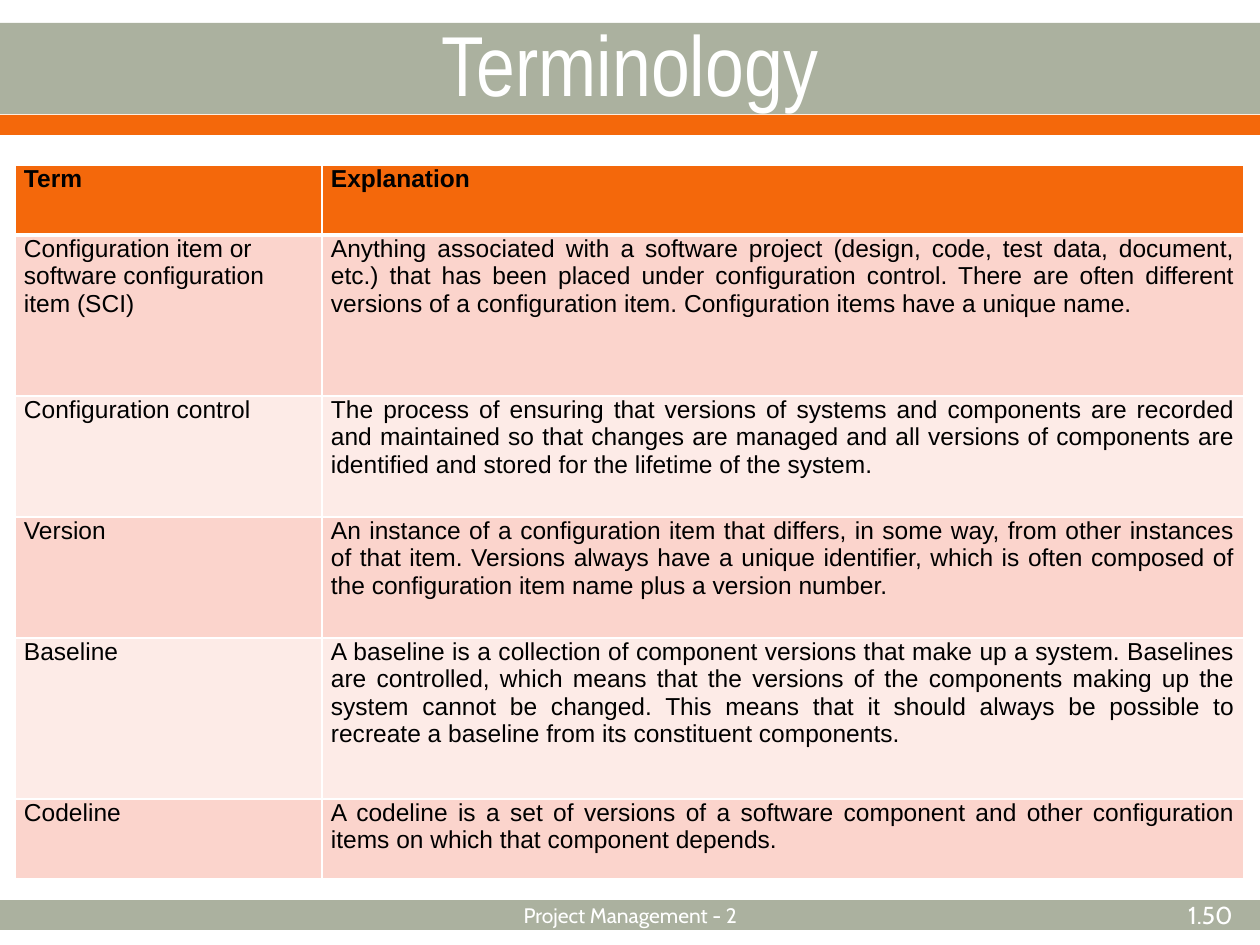
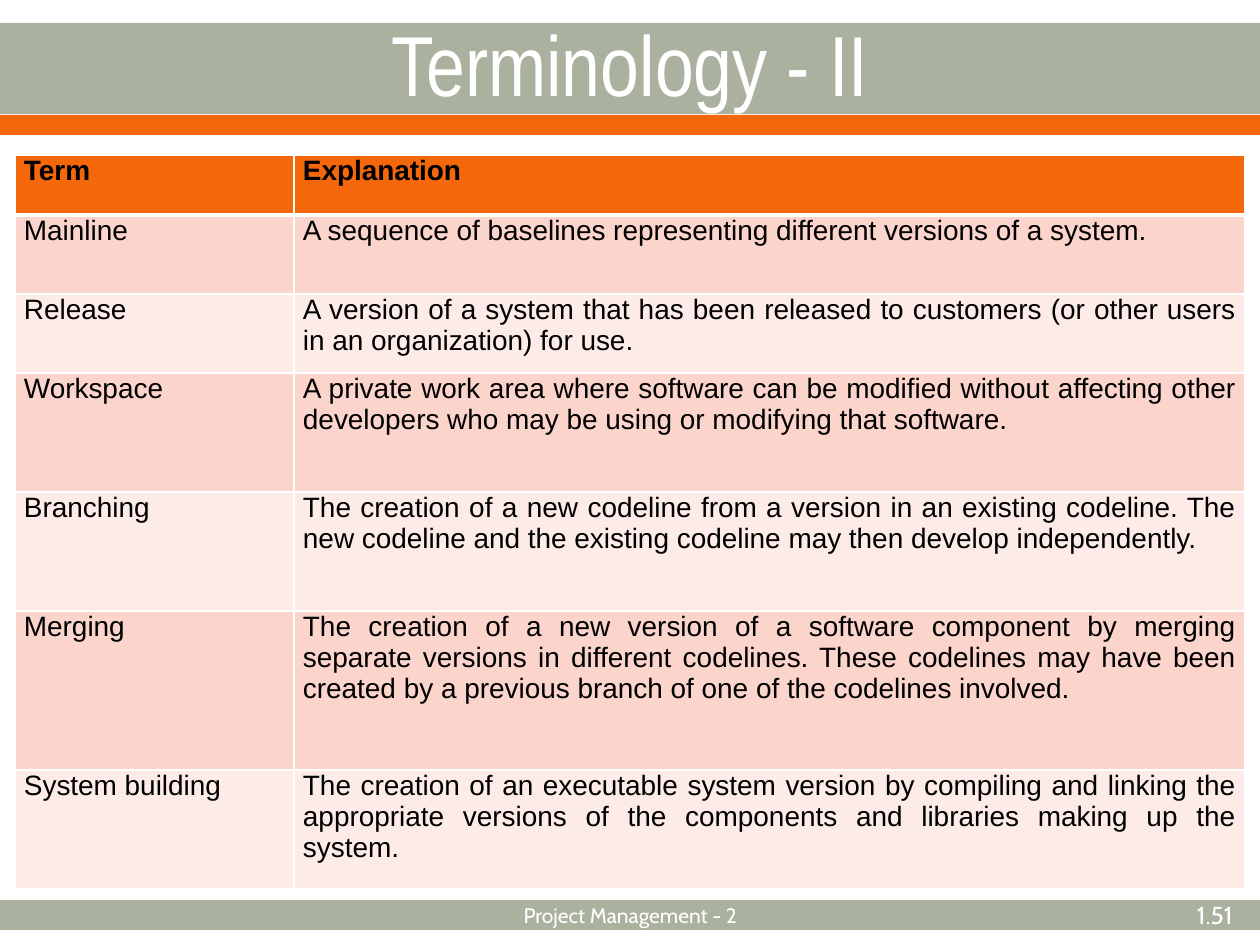
from lxml import etree
from pptx import Presentation
from pptx.dml.color import RGBColor
from pptx.enum.shapes import MSO_SHAPE
from pptx.enum.text import MSO_ANCHOR as ANCHOR, PP_ALIGN as ALIGN
from pptx.oxml.ns import qn
from pptx.util import Emu, Pt

COLORS = {
    "white": "FFFFFF",
    "black": "000000",
    "sage": "ABB19F",
    "orange": "F4680B",
    "rose": "FBD4CC",
    "blush": "FDEBE7",
}
PX_PER_INCH = 126
SLIDE_BOX = (0, 0, 1260, 945)
FOOTER_TEXT = "Project Management - 2"

# Rows are (height, term, explanation); the first row is the header
TERMS_ONE = [
    (70, "Term", "Explanation"),
    (161, "Configuration item or \vsoftware configuration item (SCI)",
     "Anything associated with a software project (design, code, test data, document, etc.) "
     "that has been placed under configuration control. There are often different versions "
     "of a configuration item. Configuration items have a unique name."),
    (121, "Configuration control",
     "The process of ensuring that versions of systems and components are recorded and "
     "maintained so that changes are managed and all versions of components are identified "
     "and stored for the lifetime of the system."),
    (121, "Version",
     "An instance of a configuration item that differs, in some way, from other instances of "
     "that item. Versions always have a unique identifier, which is often composed of the "
     "configuration item name plus a version number."),
    (161, "Baseline",
     "A baseline is a collection of component versions that make up a system. Baselines are "
     "controlled, which means that the versions of the components making up the system cannot "
     "be changed. This means that it should always be possible to recreate a baseline from "
     "its constituent components."),
    (80, "Codeline",
     "A codeline is a set of versions of a software component and other configuration items "
     "on which that component depends."),
]
TERMS_TWO = [
    (60, "Term", "Explanation"),
    (79, "Mainline",
     "A sequence of baselines representing different versions of a system."),
    (79, "Release",
     "A version of a system that has been released to customers (or other users in an "
     "organization) for use."),
    (119, "Workspace",
     "A private work area where software can be modified without affecting other developers "
     "who may be using or modifying that software."),
    (119, "Branching",
     "The creation of a new codeline from a version in an existing codeline. The new codeline "
     "and the existing codeline may then develop independently."),
    (159, "Merging",
     "The creation of a new version of a software component by merging separate versions in "
     "different codelines. These codelines may have been created by a previous branch of one "
     "of the codelines involved."),
    (119, "System building",
     "The creation of an executable system version by compiling and linking the appropriate "
     "versions of the components and libraries making up the system."),
]


def px(length):
    return Emu(round(length * 914400 / PX_PER_INCH))


def rgb(name):
    return RGBColor.from_string(COLORS[name])


def write(frame, text, size, font="Arial", color="black", bold=False,
          align=ALIGN.LEFT, after=0):
    """Fill a text frame with one formatted paragraph."""
    frame.word_wrap = True
    paragraph = frame.paragraphs[0]
    paragraph.text = text
    paragraph.alignment = align
    paragraph.space_after = Pt(after)
    for run in paragraph.runs:
        run.font.name = font
        run.font.size = Pt(size)
        run.font.bold = bold
        run.font.color.rgb = rgb(color)


def add_label(slide, box, text, size, **style):
    label = slide.shapes.add_textbox(*map(px, box))
    frame = label.text_frame
    frame.vertical_anchor = ANCHOR.MIDDLE
    frame.margin_top = frame.margin_bottom = 0
    write(frame, text, size, color="white", **style)


def add_band(slide, box, color):
    band = slide.shapes.add_shape(MSO_SHAPE.RECTANGLE, *map(px, box))
    band.shadow.inherit = False
    band.fill.solid()
    band.fill.fore_color.rgb = rgb(color)
    band.line.fill.background()


def add_header(slide, box, title):
    left, top, width, _ = box
    add_band(slide, (left, top + 14, width, 200), "white")
    add_band(slide, (left, top + 23, width, 91), "sage")
    add_band(slide, (left, top + 115, width, 20), "orange")
    add_label(slide, (left, top + 24, width, 78), title, 48.6,
              font="Arial Narrow", align=ALIGN.CENTER)


def add_footer(slide, box, number):
    left, top, width, height = box
    bottom = top + height
    add_band(slide, (left, bottom - 45, width, 30), "sage")
    add_label(slide, (left + 431, bottom - 55, 399, 50), FOOTER_TEXT, 12,
              font="Cabin", align=ALIGN.CENTER)
    add_label(slide, (left + width - 233, bottom - 55, 218, 50), number, 14,
              font="Cabin", align=ALIGN.RIGHT)


def set_borders(cell, **widths):
    """Draw white borders; widths in points are keyed by side letter."""
    properties = cell._tc.get_or_add_tcPr()
    for index, side in enumerate("LRTB"):
        line = etree.Element(qn(f"a:ln{side}"), w=str(Pt(widths.get(side, 1))))
        fill = etree.SubElement(line, qn("a:solidFill"))
        etree.SubElement(fill, qn("a:srgbClr"), val=COLORS["white"])
        properties.insert(index, line)


def add_terms(slide, box, rows, columns, size):
    left, top, width, height = box
    frame = slide.shapes.add_table(len(rows), len(columns),
                                   px(left), px(top), px(width), px(height))
    terms = frame.table
    for column, column_width in zip(terms.columns, columns):
        column.width = px(column_width)
    for r, (row_height, *texts) in enumerate(rows):
        terms.rows[r].height = px(row_height)
        # Header in orange, then alternating tints
        color = "orange" if r == 0 else ("blush", "rose")[r % 2]
        rules = {0: {"B": 3}, 1: {"T": 3}}.get(r, {})
        for c, text in enumerate(texts):
            cell = terms.cell(r, c)
            cell.margin_left = cell.margin_right = px(9)
            cell.margin_top = cell.margin_bottom = 0
            cell.fill.solid()
            cell.fill.fore_color.rgb = rgb(color)
            set_borders(cell, **rules)
            write(cell.text_frame, text, size, bold=r == 0, after=2,
                  align=ALIGN.LEFT if "\v" in text else ALIGN.JUSTIFY)


def add_terms_slide(deck, title, number, top, rows, columns, size):
    slide = deck.slides.add_slide(deck.slide_layouts[6])
    add_header(slide, SLIDE_BOX, title)
    add_footer(slide, SLIDE_BOX, number)
    box = (15, top, sum(columns), sum(row[0] for row in rows))
    add_terms(slide, box, rows, columns, size)


def main():
    deck = Presentation()
    deck.slide_width, deck.slide_height = map(px, SLIDE_BOX[2:])
    add_terms_slide(deck, "Terminology", "1.50", 165, TERMS_ONE, (307, 922), 14)
    add_terms_slide(deck, "Terminology - II", "1.51", 155, TERMS_TWO, (279, 951), 16)
    deck.save("out.pptx")


if __name__ == "__main__":
    main()
